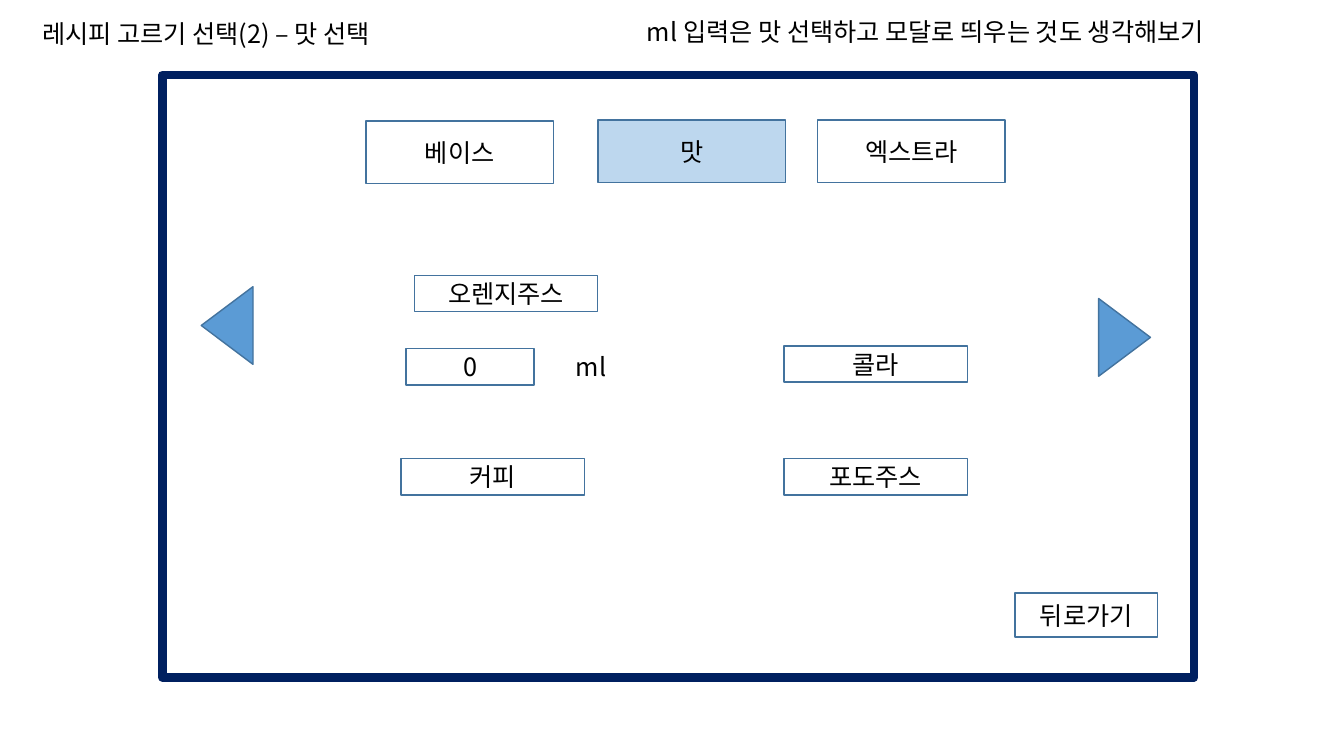
from lxml.etree import SubElement
from pptx import Presentation
from pptx.dml.color import RGBColor
from pptx.enum.shapes import MSO_SHAPE
from pptx.enum.text import MSO_ANCHOR, PP_ALIGN
from pptx.oxml.ns import qn
from pptx.util import Pt

FONT = "Noto Sans CJK KR"
WHITE = RGBColor(0xFF, 0xFF, 0xFF)
BLACK = RGBColor(0x00, 0x00, 0x00)
NAVY = RGBColor(0x00, 0x20, 0x60)
BLUE = RGBColor(0x5B, 0x9B, 0xD5)
PALE_BLUE = RGBColor(0xBD, 0xD7, 0xEE)
OUTLINE = RGBColor(0x43, 0x73, 0x9E)

deck = Presentation()
deck.slide_width, deck.slide_height = Pt(960), Pt(540)
page = deck.slides.add_slide(deck.slide_layouts[6])


def add_figure(kind, left, top, width, height, fill=None, line=OUTLINE, weight=1):
    figure = page.shapes.add_shape(kind, Pt(left), Pt(top), Pt(width), Pt(height))
    figure.shadow.inherit = False
    if fill is None:
        figure.fill.background()
    else:
        figure.fill.solid()
        figure.fill.fore_color.rgb = fill
    figure.line.color.rgb = line
    figure.line.width = Pt(weight)
    return figure


def write(box, text, align, anchor):
    frame = box.text_frame
    frame.word_wrap = True
    frame.vertical_anchor = anchor
    para = frame.paragraphs[0]
    para.text = text
    para.alignment = align
    para.font.name = FONT
    para.font.size = Pt(18)
    para.font.color.rgb = BLACK
    # Korean glyphs take the East Asian typeface
    SubElement(para._p.pPr.find(qn("a:defRPr")), qn("a:ea"), typeface=FONT)


# Screen frame
add_figure(MSO_SHAPE.RECTANGLE, 116, 53.5, 737, 430.5, WHITE, NAVY, 6)

# Previous and next arrows
for left, top, turn in [(134.5, 214, 270), (775.5, 222.5, 90)]:
    arrow = add_figure(MSO_SHAPE.ISOSCELES_TRIANGLE, left, top, 55.5, 37, BLUE)
    arrow.rotation = turn

# Buttons: tabs, flavours, amount field, back
TAB, FLAVOUR = (134, 44.8), (131, 26)
buttons = [
    ("베이스", 261.4, 86.4, TAB, None),
    ("맛", 427, 85.7, TAB, PALE_BLUE),
    ("엑스트라", 584, 85.7, TAB, None),
    ("오렌지주스", 296, 196.7, FLAVOUR, None),
    ("콜라", 560, 247, FLAVOUR, None),
    ("커피", 286.5, 327.5, FLAVOUR, None),
    ("포도주스", 560, 327.5, FLAVOUR, None),
    ("0", 290, 249, (91.5, 26), None),
    ("뒤로가기", 725, 423.5, (102, 31.7), None),
]
for text, left, top, size, fill in buttons:
    button = add_figure(MSO_SHAPE.RECTANGLE, left, top, *size, fill)
    write(button, text, PP_ALIGN.CENTER, MSO_ANCHOR.MIDDLE)

# Title, note and unit
labels = [
    ("레시피 고르기 선택(2) – 맛 선택", 23, 9.5, 404, 29, PP_ALIGN.LEFT, MSO_ANCHOR.TOP),
    ("ml 입력은 맛 선택하고 모달로 띄우는 것도 생각해보기", 455, 8, 464, 29,
     PP_ALIGN.LEFT, MSO_ANCHOR.TOP),
    ("ml", 389.5, 249, 65.5, 26, PP_ALIGN.CENTER, MSO_ANCHOR.MIDDLE),
]
for text, left, top, width, height, align, anchor in labels:
    label = page.shapes.add_textbox(Pt(left), Pt(top), Pt(width), Pt(height))
    write(label, text, align, anchor)

deck.save("out.pptx")
